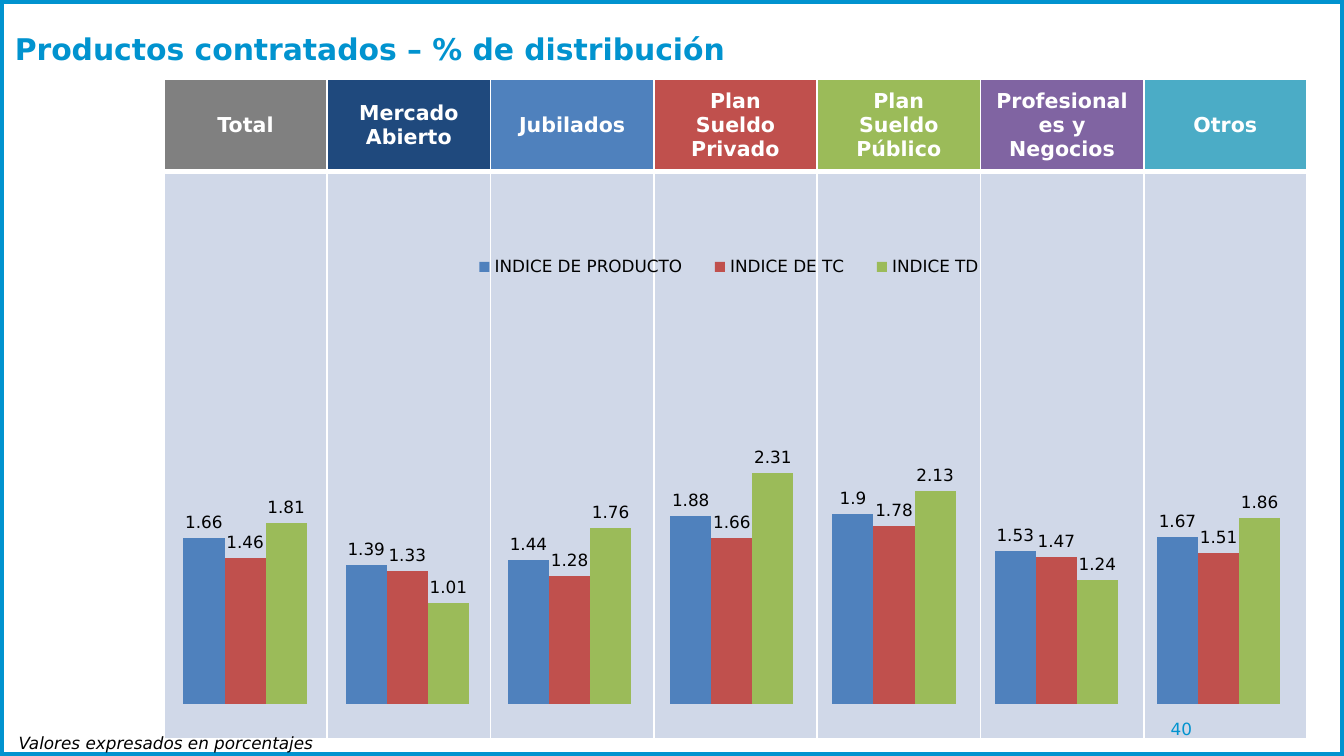
from collections import namedtuple

from lxml import etree
from pptx import Presentation
from pptx import util as u
from pptx.chart import data as chart_data
from pptx.dml import color
from pptx.enum import chart as chart_enum
from pptx.enum import shapes, text
from pptx.oxml import ns

FONT = "DejaVu Sans"
BRAND, WHITE, BLACK = "0193CF", "FFFFFF", "000000"
WIDTH = u.Inches(10)
HEIGHT = WIDTH * 9 // 16
SEGMENTS = {
    "Total": "808080",
    "Mercado Abierto": "1F497D",
    "Jubilados": "4F81BD",
    "Plan Sueldo Privado": "C0504D",
    "Plan Sueldo Público": "9BBB59",
    "Profesionales y Negocios": "8064A2",
    "Otros": "4BACC6",
}
SERIES = [
    ("INDICE DE PRODUCTO", "4F81BD", [1.66, 1.39, 1.44, 1.88, 1.9, 1.53, 1.67]),
    ("INDICE DE TC", "C0504D", [1.46, 1.33, 1.28, 1.66, 1.78, 1.47, 1.51]),
    ("INDICE TD", "9BBB59", [1.81, 1.01, 1.76, 2.31, 2.13, 1.24, 1.86]),
]
Box = namedtuple("Box", "left top width height")


def percent_box(left, top, width, height):
    return Box(*(round(part * whole / 100) for part, whole in
                 zip((left, top, width, height), (WIDTH, HEIGHT) * 2)))


def rgb(value):
    return color.RGBColor.from_string(value)


def style_font(font, size, ink, bold=False, italic=False):
    font.name, font.size = FONT, u.Pt(size)
    font.bold, font.italic = bold, italic
    font.color.rgb = rgb(ink)


def add_frame(page, box):
    frame = page.shapes.add_shape(shapes.MSO_SHAPE.RECTANGLE, *box)
    frame.shadow.inherit = False
    frame.fill.background()
    frame.line.color.rgb = rgb(BRAND)
    frame.line.width = u.Pt(4.5)


def add_text(page, box, words, size, ink, align=text.PP_ALIGN.LEFT,
             anchor=text.MSO_ANCHOR.MIDDLE, inset=0.07, **look):
    frame = page.shapes.add_textbox(*box).text_frame
    frame.word_wrap = True
    frame.vertical_anchor = anchor
    frame.margin_left = frame.margin_right = u.Inches(inset)
    frame.margin_top = frame.margin_bottom = u.Inches(inset / 2)
    para = frame.paragraphs[0]
    para.text, para.alignment = words, align
    style_font(para.font, size, ink, **look)


def set_borders(cell, **widths):
    props = cell._tc.get_or_add_tcPr()
    for index, side in enumerate("LRTB"):
        line = etree.Element(ns.qn(f"a:ln{side}"), w=str(u.Pt(widths.get(side, 1))))
        fill = etree.SubElement(line, ns.qn("a:solidFill"))
        etree.SubElement(fill, ns.qn("a:srgbClr"), val=WHITE)
        props.insert(index, line)


def add_segment_table(page, box):
    table = page.shapes.add_table(2, len(SEGMENTS), *box).table
    table.rows[0].height = round(box.height * 0.14)
    table.rows[1].height = box.height - table.rows[0].height
    for index, (name, tint) in enumerate(SEGMENTS.items()):
        table.columns[index].width = box.width // len(SEGMENTS)
        head, body = table.cell(0, index), table.cell(1, index)
        for cell, shade in ((head, tint), (body, "D0D8E8")):
            cell.fill.solid()
            cell.fill.fore_color.rgb = rgb(shade)
        set_borders(head, B=3)
        set_borders(body, T=3)
        head.text = name
        head.vertical_anchor = text.MSO_ANCHOR.MIDDLE
        para = head.text_frame.paragraphs[0]
        para.alignment = text.PP_ALIGN.CENTER
        style_font(para.font, 11, WHITE, bold=True)


def make_layout(place, inner=False):
    layout = etree.Element(ns.qn("c:layout"))
    manual = etree.SubElement(layout, ns.qn("c:manualLayout"))
    settings = [("layoutTarget", "inner")] if inner else []
    settings += [("xMode", "edge"), ("yMode", "edge")]
    settings += [(tag, part / 100) for tag, part in zip("xywh", place)]
    for tag, value in settings:
        etree.SubElement(manual, ns.qn(f"c:{tag}"), val=str(value))
    return layout


def clear_layout(element):
    for old in element.findall(ns.qn("c:layout")):
        element.remove(old)


def place_plot(chart, *place):
    area = chart._chartSpace.chart.plotArea
    clear_layout(area)
    area.insert(0, make_layout(place, inner=True))


def place_legend(legend, *place):
    element = legend._element
    clear_layout(element)
    element.find(ns.qn("c:legendPos")).addnext(make_layout(place))


def add_index_chart(page, box):
    data = chart_data.CategoryChartData()
    data.categories = [str(number + 1) for number in range(len(SEGMENTS))]
    for name, _, values in SERIES:
        data.add_series(name, values)
    chart = page.shapes.add_chart(
        chart_enum.XL_CHART_TYPE.COLUMN_CLUSTERED, *box, data).chart
    style_font(chart.font, 9, BLACK)
    chart.has_title = False
    chart.category_axis.visible = False
    axis = chart.value_axis
    axis.visible = axis.has_major_gridlines = False
    axis.minimum_scale, axis.maximum_scale, axis.major_unit = 0, 5, 5
    chart.has_legend = True
    chart.legend.position = chart_enum.XL_LEGEND_POSITION.TOP
    chart.legend.include_in_layout = False
    place_legend(chart.legend, 25, 11, 48, 8)
    place_plot(chart, 0, 3.4, 98.5, 92.3)
    plot = chart.plots[0]
    plot.gap_width, plot.overlap, plot.vary_by_categories = 95, 0, False
    for series, (_, tint, _) in zip(plot.series, SERIES):
        series.format.fill.solid()
        series.format.fill.fore_color.rgb = rgb(tint)
        labels = series.data_labels
        labels.show_value = True
        labels.position = chart_enum.XL_LABEL_POSITION.OUTSIDE_END
        style_font(labels.font, 9, BLACK)


def build_page(page):
    add_frame(page, percent_box(0, 0, 100, 100))
    add_segment_table(page, percent_box(12.2, 10.5, 85.05, 87.2))
    add_text(page, percent_box(0.4, 0.6, 84.4, 11.7),
             "Productos contratados – % de distribución", 16, BRAND, bold=True)
    add_index_chart(page, percent_box(12.2, 24.55, 85.8, 71.65))
    add_text(page, percent_box(0.4, 96, 50, 4.4), "Valores expresados en porcentajes",
             9, BLACK, anchor=text.MSO_ANCHOR.TOP, inset=0.1, italic=True)
    add_text(page, percent_box(77.1, 93.75, 12.3, 5.3), "40", 9, BRAND,
             align=text.PP_ALIGN.RIGHT)


def main():
    deck = Presentation()
    deck.slide_width, deck.slide_height = WIDTH, HEIGHT
    build_page(deck.slides.add_slide(deck.slide_layouts[6]))
    deck.save("out.pptx")


if __name__ == "__main__":
    main()
